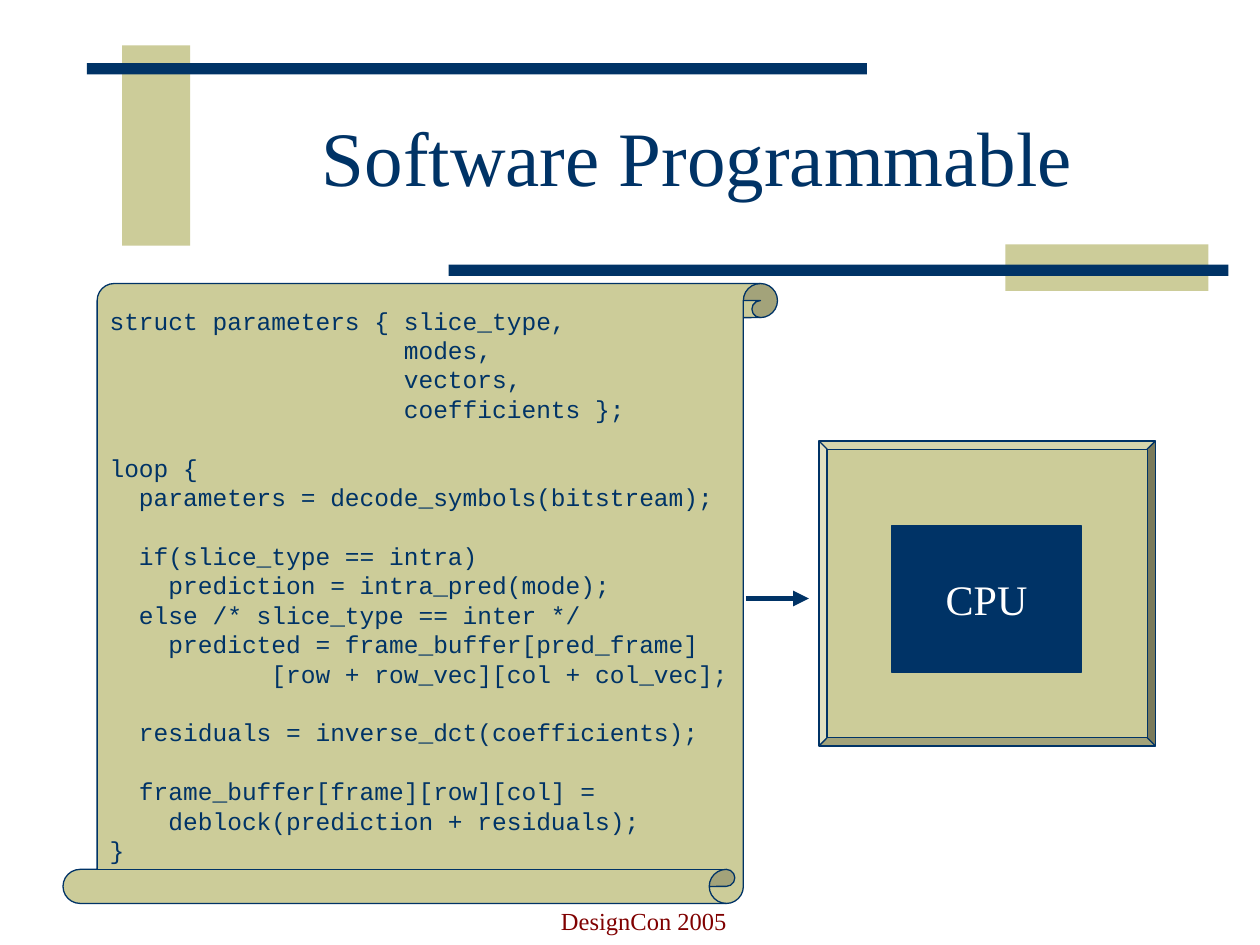
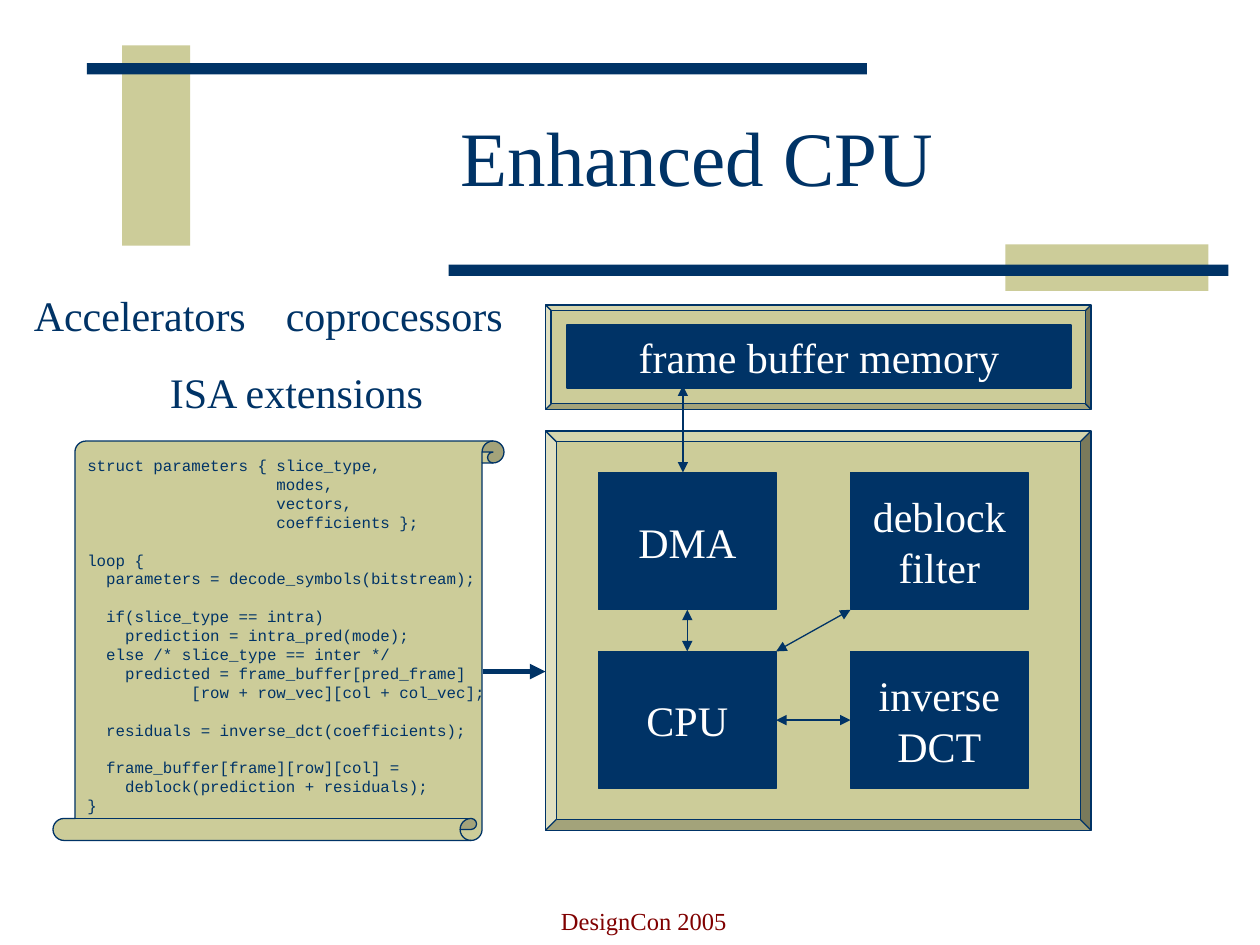
from lxml import etree
from pptx import Presentation
from pptx.dml.color import RGBColor
from pptx.enum import shapes, text
from pptx.oxml.ns import qn
from pptx.util import Inches, Pt

COLORS = {"navy": "003366", "khaki": "CCCC99", "white": "FFFFFF", "maroon": "800000"}
SERIF, MONO = "Times New Roman", "Courier New"
PRESET = shapes.MSO_SHAPE
ANCHOR = text.MSO_ANCHOR
ALIGN = text.PP_ALIGN

CODE = """\
struct parameters { slice_type,
                    modes,
                    vectors,
                    coefficients };

loop {
  parameters = decode_symbols(bitstream);

  if(slice_type == intra)
    prediction = intra_pred(mode);
  else /* slice_type == inter */
    predicted = frame_buffer[pred_frame]
           [row + row_vec][col + col_vec];

  residuals = inverse_dct(coefficients);

  frame_buffer[frame][row][col] =
    deblock(prediction + residuals);
}"""


def color(name):
    return RGBColor.from_string(COLORS[name])


def add_paragraph(frame, words, size=24, font=SERIF, ink="navy", align=ALIGN.LEFT,
                  before=0, spacing=None, indent=0, tab=None):
    """Fill the frame's empty first paragraph, or append a new one."""
    first = frame.paragraphs[0]
    paragraph = frame.add_paragraph() if first.runs else first
    if indent:
        paragraph._p.get_or_add_pPr().set("marL", str(Inches(indent)))
    if tab:
        tabs = etree.SubElement(paragraph._p.get_or_add_pPr(), qn("a:tabLst"))
        etree.SubElement(tabs, qn("a:tab"), pos=str(Inches(tab)), algn="l")
    paragraph.alignment = align
    if before:
        paragraph.space_before = Pt(before)
    if spacing:
        paragraph.line_spacing = spacing
    run = paragraph.add_run()
    run.text = words
    run.font.size = Pt(size)
    run.font.name = font
    run.font.color.rgb = color(ink)


def add_text_box(slide, box, anchor=ANCHOR.TOP):
    frame = slide.shapes.add_textbox(*map(Inches, box)).text_frame
    frame.word_wrap = True
    frame.vertical_anchor = anchor
    return frame


def add_shape(slide, preset, box, fill, line=None, adjustment=None):
    shape = slide.shapes.add_shape(preset, *map(Inches, box))
    shape.shadow.inherit = False
    shape.fill.solid()
    shape.fill.fore_color.rgb = color(fill)
    if line:
        shape.line.color.rgb = color(line)
        shape.line.width = Pt(0.75)
    else:
        shape.line.fill.background()
    if adjustment is not None:
        shape.adjustments[0] = adjustment
    return shape


def add_arrow(slide, start, end, width=0.75, both_ends=True):
    arrow = slide.shapes.add_connector(
        shapes.MSO_CONNECTOR.STRAIGHT, *map(Inches, (*start, *end)))
    arrow.line.color.rgb = color("navy")
    arrow.line.width = Pt(width)
    line = arrow.line._get_or_add_ln()
    for end_name in ("headEnd", "tailEnd") if both_ends else ("tailEnd",):
        etree.SubElement(line, qn(f"a:{end_name}"), type="triangle")
    etree.SubElement(arrow._element.spPr, qn("a:effectLst"))


def add_frame(slide, presentation, title):
    """Add the bands, title and footer that every slide carries."""
    for box, fill in (
        ((0.97, 0.36, 0.54, 1.59), "khaki"),
        ((0.69, 0.5, 6.19, 0.09), "navy"),
        ((7.98, 1.94, 1.61, 0.37), "khaki"),
        ((3.56, 2.1, 6.19, 0.09), "navy"),
    ):
        add_shape(slide, PRESET.RECTANGLE, box, fill)
    title_frame = add_text_box(slide, (1.5, 0.67, 8.07, 1.25), ANCHOR.MIDDLE)
    add_paragraph(title_frame, title, size=44, align=ALIGN.CENTER, spacing=0.85)
    footer_frame = add_text_box(slide, (3.42, 6.97, 3.38, 0.5), ANCHOR.BOTTOM)
    add_paragraph(footer_frame, "DesignCon 2005", size=14, ink="maroon",
                  align=ALIGN.CENTER)


def add_code_scroll(slide, box, size):
    """Add an upside-down scroll whose code still reads upright."""
    scroll = add_shape(slide, PRESET.VERTICAL_SCROLL, box, "khaki", "navy", 0.055)
    scroll.rotation = 180
    frame = scroll.text_frame
    frame.word_wrap = False
    frame.vertical_anchor = ANCHOR.MIDDLE
    frame._txBody.bodyPr.set("rot", str(180 * 60000))
    pitch = 1.2 * size
    gap = 0
    for line in CODE.splitlines():
        if not line:
            gap = pitch
            continue
        add_paragraph(frame, line, size=size, font=MONO, before=gap, spacing=Pt(pitch))
        gap = 0


def add_chip(slide, box, adjustment=0.027):
    add_shape(slide, PRESET.BEVEL, box, "khaki", "navy", adjustment)


def add_block(slide, box, label):
    block = add_shape(slide, PRESET.RECTANGLE, box, "navy", "navy")
    frame = block.text_frame
    frame.word_wrap = True
    frame.vertical_anchor = ANCHOR.MIDDLE
    add_paragraph(frame, label, ink="white", align=ALIGN.CENTER)


def add_memory(slide, box):
    left, top, width, height = box
    add_chip(slide, box, 0.054)
    add_block(slide, (left + 0.17, top + 0.16, width - 0.33, height - 0.33),
              "frame buffer memory")


def add_enhanced_chip(slide, box):
    """Add the chip with its two-by-two grid of units and the links between them."""
    left, top = box[:2]
    block_width, block_height = 1.41, 1.09
    column_step, row_step = 2, 1.42
    grid_left, grid_top = left + 0.42, top + 0.33
    add_chip(slide, box)
    for row, labels in enumerate((("DMA", "deblock filter"), ("CPU", "inverse DCT"))):
        for column, label in enumerate(labels):
            add_block(slide, (grid_left + column * column_step,
                              grid_top + row * row_step,
                              block_width, block_height), label)
    first_right, second_left = grid_left + block_width, grid_left + column_step
    first_bottom, second_top = grid_top + block_height, grid_top + row_step
    middle_x = grid_left + block_width / 2
    middle_y = second_top + block_height / 2
    add_arrow(slide, (middle_x, second_top), (middle_x, first_bottom))
    add_arrow(slide, (first_right, middle_y), (second_left, middle_y))
    add_arrow(slide, (first_right, second_top), (second_left, first_bottom))
    memory_x = grid_left + 0.67
    add_arrow(slide, (memory_x, grid_top), (memory_x, grid_top - 0.69))


def add_techniques(slide, box):
    frame = add_text_box(slide, box)
    add_paragraph(frame, "Accelerators\tcoprocessors", tab=2)
    add_paragraph(frame, "ISA extensions", before=15, indent=1.08)


def build_software_slide(slide):
    add_code_scroll(slide, (0.5, 2.25, 5.67, 4.92), 14)
    add_chip(slide, (6.5, 3.5, 2.67, 2.42))
    add_block(slide, (7.08, 4.17, 1.5, 1.17), "CPU")
    add_arrow(slide, (5.92, 4.75), (6.42, 4.75), width=3, both_ends=False)


def build_enhanced_slide(slide):
    add_code_scroll(slide, (0.42, 3.5, 3.58, 3.17), 9)
    add_memory(slide, (4.33, 2.42, 4.33, 0.83))
    add_enhanced_chip(slide, (4.33, 3.42, 4.33, 3.17))
    add_arrow(slide, (3.83, 5.33), (4.33, 5.33), width=3, both_ends=False)
    add_techniques(slide, (0.17, 2.25, 4.17, 1.11))


def main():
    presentation = Presentation()
    presentation.slide_width = Inches(10)
    presentation.slide_height = Inches(7.5)
    for title, build in (
        ("Software Programmable", build_software_slide),
        ("Enhanced CPU", build_enhanced_slide),
    ):
        slide = presentation.slides.add_slide(presentation.slide_layouts[6])
        add_frame(slide, presentation, title)
        build(slide)
    presentation.save("out.pptx")


if __name__ == "__main__":
    main()
